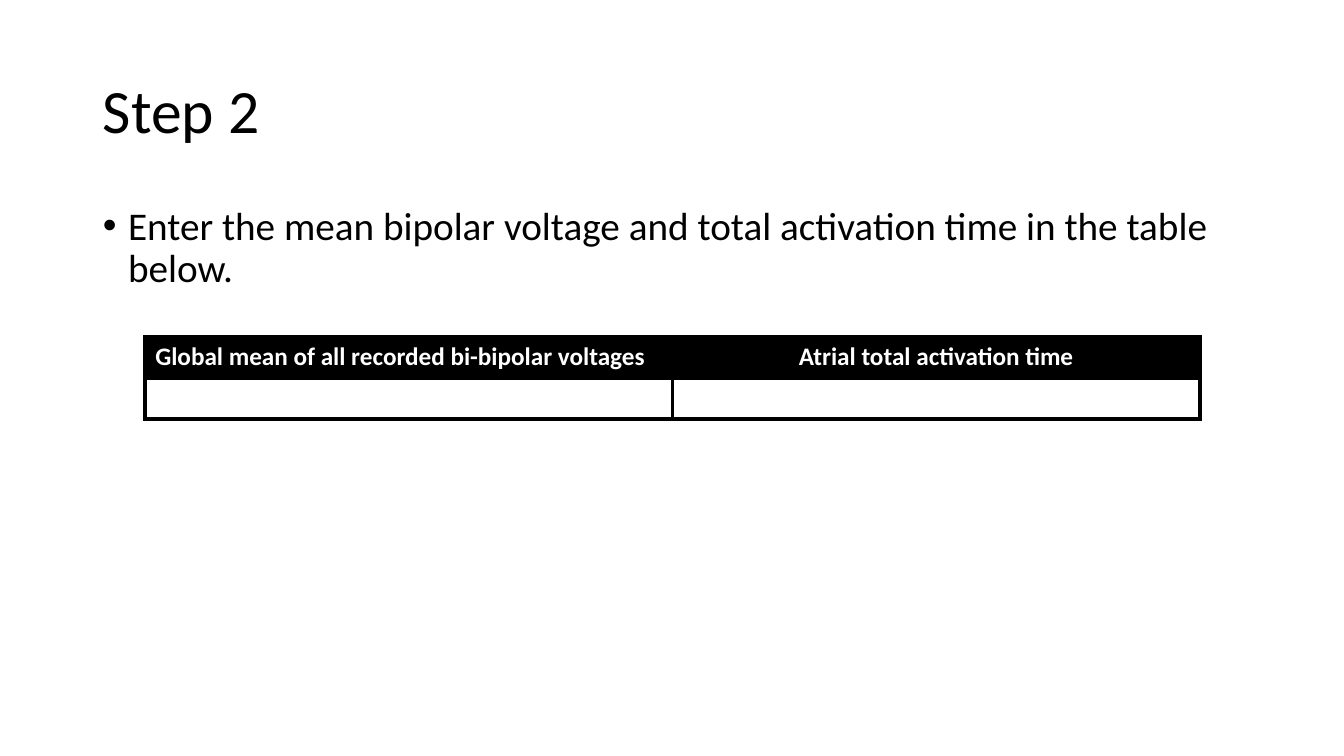
from lxml.etree import SubElement
from pptx import Presentation
from pptx.dml.color import RGBColor
from pptx.enum.text import MSO_ANCHOR, MSO_AUTO_SIZE, PP_ALIGN
from pptx.oxml.ns import qn
from pptx.util import Inches, Pt

BLACK, WHITE = "000000", "FFFFFF"
LINE_WIDTH = Pt(3)


def rgb(color):
    """Turn a hex string into a colour."""
    return RGBColor.from_string(color)


def write(tf, text, size, color, bold, **para):
    """Put one formatted paragraph into a text frame and return it."""
    p = tf.paragraphs[0]
    for name, value in para.items():
        setattr(p, name, value)
    r = p.add_run()
    r.text = text
    for name, value in {"name": "Calibri", "size": Pt(size), "bold": bold}.items():
        setattr(r.font, name, value)
    r.font.color.rgb = rgb(color)
    return p


prs = Presentation()
prs.slide_width, prs.slide_height = Inches(13.33), Inches(7.5)
s = prs.slides.add_slide(prs.slide_layouts[1])
title, body = s.placeholders

# Title and instruction share the same left edge and width
for sp, top, height, anchor in (
    (title, 0.4, 1.45, MSO_ANCHOR.MIDDLE),
    (body, 2, 4.76, MSO_ANCHOR.TOP),
):
    box = {"left": 0.92, "top": top, "width": 11.5, "height": height}
    for name, value in box.items():
        setattr(sp, name, Inches(value))
    sp.text_frame.auto_size = MSO_AUTO_SIZE.NONE
    sp.text_frame.vertical_anchor = anchor

write(title.text_frame, "Step 2", 44, BLACK, False,
      alignment=PP_ALIGN.LEFT, line_spacing=0.9)
p = write(body.text_frame,
          "Enter the mean bipolar voltage and total activation time in the table below.",
          28, BLACK, False, line_spacing=0.9, space_before=Pt(10))
pPr = p._p.get_or_add_pPr()
for name, value in {"marL": 0.25, "indent": -0.25}.items():
    pPr.set(name, str(Inches(value)))
SubElement(pPr, qn("a:buFont"), typeface="Arial")
SubElement(pPr, qn("a:buChar"), char="•")

# Entry table: a black header over one empty row
headers = (
    ("Global mean of all recorded bi-bipolar voltages", PP_ALIGN.LEFT),
    ("Atrial total activation time", PP_ALIGN.CENTER),
)
row_height = 0.41
table = s.shapes.add_table(2, len(headers), Inches(1.44), Inches(3.34),
                           Inches(10.46), Inches(2 * row_height)).table
for row in table.rows:
    row.height = Inches(row_height)
for cell, (text, align) in zip(table.rows[0].cells, headers):
    write(cell.text_frame, text, 18, WHITE, True, alignment=align)

for row, fill in zip(table.rows, (BLACK, WHITE)):
    for cell in row.cells:
        tcPr = cell._tc.get_or_add_tcPr()
        for side in ("lnL", "lnR", "lnT", "lnB"):
            ln = SubElement(tcPr, qn(f"a:{side}"), w=str(LINE_WIDTH))
            solid = SubElement(ln, qn("a:solidFill"))
            SubElement(solid, qn("a:srgbClr"), val=BLACK)
        cell.fill.solid()
        cell.fill.fore_color.rgb = rgb(fill)

prs.save("out.pptx")
